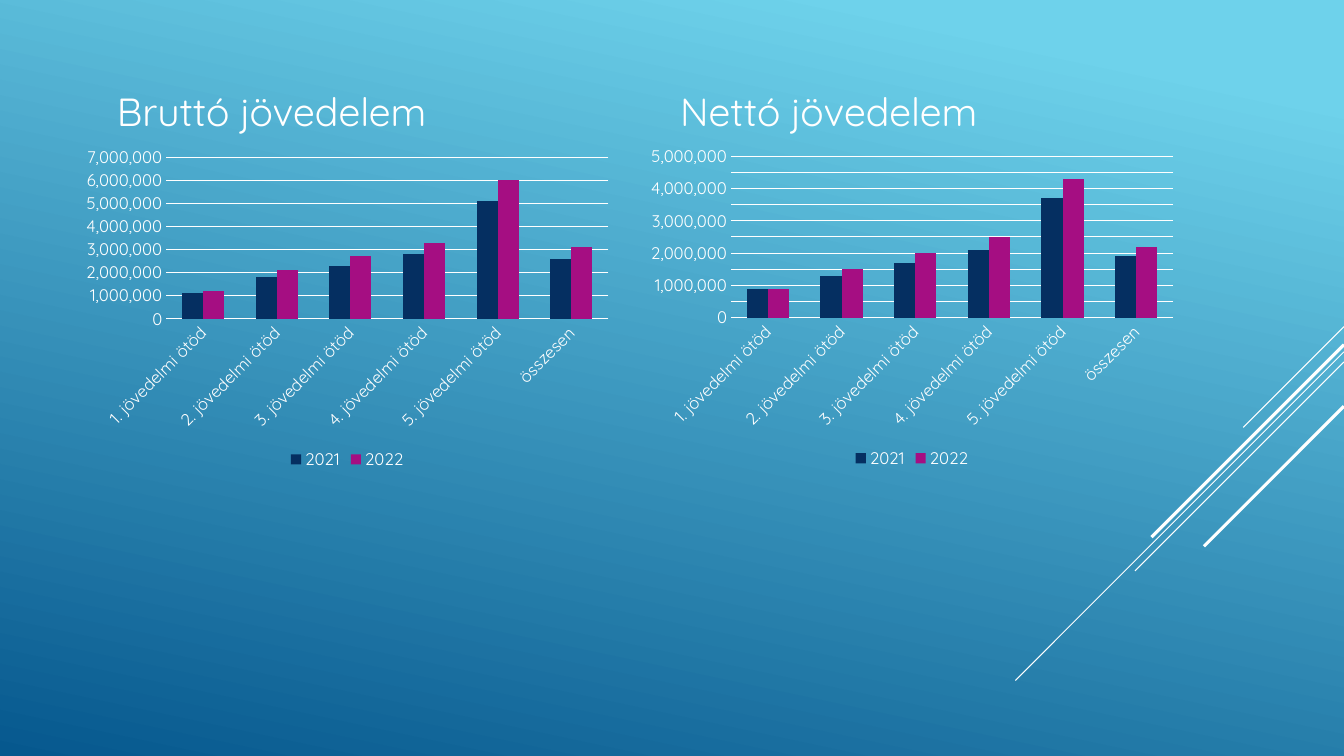
from lxml import etree
from pptx import Presentation
from pptx import util as u
from pptx.chart import data as cd
from pptx.dml import color
from pptx.enum import chart as ce, shapes, text
from pptx.oxml import ns

Pt = u.Pt
WHITE = color.RGBColor(0xFF, 0xFF, 0xFF)
SKY = color.RGBColor(0x6E, 0xD2, 0xEB)
DEEP = color.RGBColor(0x06, 0x58, 0x8E)
NAVY = color.RGBColor(0x05, 0x2F, 0x61)
PLUM = color.RGBColor(0xA5, 0x0E, 0x82)
FONT = "Quicksand"
WIDE, HIGH = 960, 540
AUTO = "-60000000"  # label angle chosen to fit

GROUPS = [f"{n}. jövedelmi ötöd" for n in range(1, 6)] + ["összesen"]
GROSS = {
    "2021": (1100000, 1800000, 2300000, 2800000, 5100000, 2600000),
    "2022": (1200000, 2100000, 2700000, 3300000, 6000000, 3100000),
}
NET = {
    "2021": (900000, 1300000, 1700000, 2100000, 3700000, 1900000),
    "2022": (900000, 1500000, 2000000, 2500000, 4300000, 2200000),
}

# Diagonal rays: height at the right edge, run to the left, line width
RAYS = [
    (233.3, 72, 0.75),
    (251.3, 234.7, 0.75),
    (258.5, 149.3, 0.75),
    (246.2, 137.5, 2.25),
    (290.2, 100, 2.25),
]


def style(font, size, tint=WHITE):
    font.name = FONT
    font.size = Pt(size)
    font.color.rgb = tint


def paint(slide):
    fill = slide.background.fill
    fill.gradient()
    fill.gradient_angle = 360 - 102
    for stop, pos, tint in zip(fill.gradient_stops, (0.1, 1), (SKY, DEEP)):
        stop.position = pos
        stop.color.rgb = tint


def add_ray(slide, top, run, width):
    ray = slide.shapes.add_connector(
        shapes.MSO_CONNECTOR.STRAIGHT,
        Pt(WIDE), Pt(top), Pt(WIDE - run), Pt(top + run))
    ray.line.color.rgb = WHITE
    ray.line.width = Pt(width)
    etree.SubElement(ray._element.spPr, ns.qn("a:effectLst"))


def add_text(slide, words, *, left, top, width, height, size):
    box = slide.shapes.add_textbox(Pt(left), Pt(top), Pt(width), Pt(height))
    frame = box.text_frame
    frame.word_wrap = True
    frame.vertical_anchor = text.MSO_ANCHOR.BOTTOM
    para = frame.paragraphs[0]
    para.space_after = Pt(6)
    run = para.add_run()
    run.text = words
    style(run.font, size)


def set_axis(axis):
    axis.major_tick_mark = axis.minor_tick_mark = ce.XL_TICK_MARK.NONE
    axis.format.line.fill.background()
    style(axis.tick_labels.font, 12)
    body = axis._element.find(ns.qn("c:txPr")).find(ns.qn("a:bodyPr"))
    body.set("rot", AUTO)
    body.set("vert", "horz")


def add_bars(slide, rows, *, left, top, width, height, peak, step):
    data = cd.CategoryChartData(number_format="#,##0")
    data.categories = GROUPS
    for year, sums in rows.items():
        data.add_series(year, sums)
    chart = slide.shapes.add_chart(
        ce.XL_CHART_TYPE.COLUMN_CLUSTERED,
        Pt(left), Pt(top), Pt(width), Pt(height), data).chart
    chart.has_title = False
    style(chart.font, 10)

    # Columns
    plot = chart.plots[0]
    plot.gap_width = 150
    plot.overlap = 0
    plot.vary_by_categories = False
    for bars, tint in zip(plot.series, (NAVY, PLUM)):
        bars.format.fill.solid()
        bars.format.fill.fore_color.rgb = tint

    # Axes
    sums = chart.value_axis
    set_axis(chart.category_axis)
    set_axis(sums)
    sums.minimum_scale = 0
    sums.maximum_scale = peak
    sums.major_unit = step
    sums.tick_labels.number_format = "#,##0"
    sums.tick_labels.number_format_is_linked = False
    grid = sums.major_gridlines.format.line
    grid.color.rgb = WHITE
    grid.width = Pt(0.75)

    # Legend
    chart.has_legend = True
    chart.legend.position = ce.XL_LEGEND_POSITION.BOTTOM
    chart.legend.include_in_layout = False
    style(chart.legend.font, 12)


def main():
    deck = Presentation()
    deck.slide_width, deck.slide_height = Pt(WIDE), Pt(HIGH)
    slide = deck.slides.add_slide(deck.slide_layouts[6])

    # Backdrop
    paint(slide)
    for ray in RAYS:
        add_ray(slide, *ray)

    # Gross and net income side by side
    halves = [
        ("Bruttó jövedelem", GROSS, 76.4, 53.8, 100.2, 7000000, 1000000),
        ("Nettó jövedelem", NET, 478.8, 457.2, 99.4, 5000000, 500000),
    ]
    for title, rows, inset, left, top, peak, step in halves:
        add_text(slide, title, left=inset, top=54, width=367, height=45.4,
                 size=28)
        add_bars(slide, rows, left=left, top=top, width=388.5, height=238.3,
                 peak=peak, step=step)

    deck.save("out.pptx")


if __name__ == "__main__":
    main()
